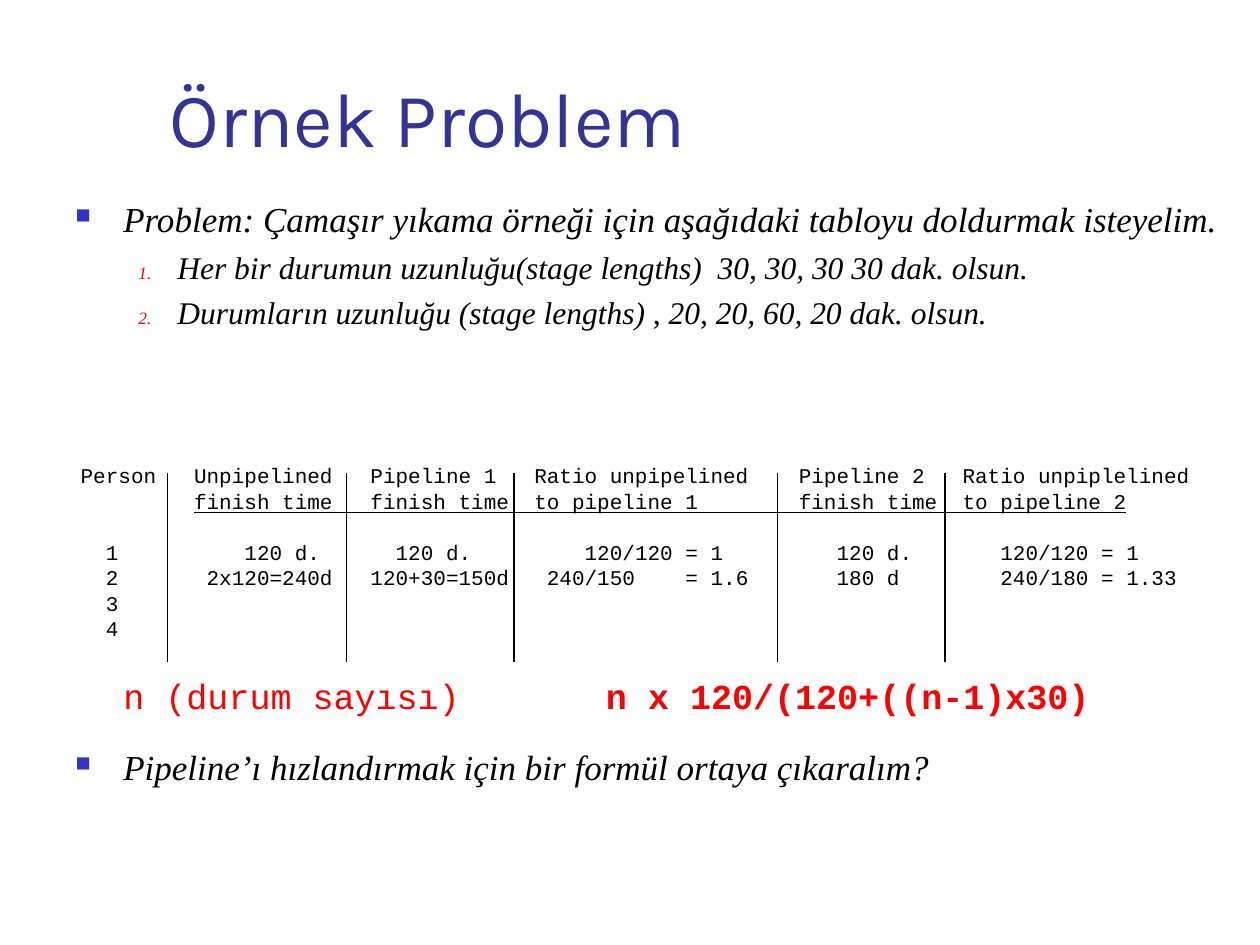
from lxml.etree import SubElement
from pptx import Presentation
from pptx.dml.color import RGBColor
from pptx.enum.shapes import MSO_CONNECTOR
from pptx.enum.text import MSO_ANCHOR
from pptx.oxml.ns import qn
from pptx.util import Inches, Pt

BLACK, RED, NAVY, BLUE = "000000", "FF0000", "333399", "3333CC"
MONO, SERIF = "Courier New", "Times New Roman"
TOP_LEVEL = dict(size=20, space=5, margin=0.38, hanging=0.38, color=BLUE,
                 scale=60, tag="a:buChar", attributes={"char": "■"})
NUMBERED = dict(size=18, space=4.5, margin=0.81, hanging=0.31, color=RED,
                scale=55, tag="a:buAutoNum", attributes={"type": "arabicPeriod"})
COLUMN_EDGES = [0.64, 1.54, 2.94, 4.24, 6.34, 7.64, 9.6]
DIVIDERS = [1.33, 2.75, 4.08, 6.17, 7.5]
HEADERS = ["Person", "Unpipelined\nfinish time", "Pipeline 1\nfinish time",
           "Ratio unpipelined\nto pipeline 1", "Pipeline 2\nfinish time",
           "Ratio unpiplelined\nto pipeline 2"]
ROWS = [
    [("1", 0.2), ("120 d.", 0.4), ("120 d.", 0.2), ("120/120 = 1", 0.4),
     ("120 d.", 0.3), ("120/120 = 1", 0.3)],
    [("2", 0.2), ("2x120=240d", 0.1), ("120+30=150d", 0), ("240/150\t= 1.6", 0.1),
     ("180 d", 0.3), ("240/180 = 1.33", 0.3)],
    [("3", 0.2)] + [("", 0)] * 5,
    [("4", 0.2)] + [("", 0)] * 5,
]


def rgb(color):
    return RGBColor.from_string(color)


def style(paragraph, name, size, color, italic=False):
    font = paragraph.font
    font.name, font.size, font.italic = name, Pt(size), italic
    font.color.rgb = rgb(color)


def add_tab(paragraph, position):
    tabs = SubElement(paragraph._p.get_or_add_pPr(), qn("a:tabLst"))
    SubElement(tabs, qn("a:tab"), pos=str(Inches(position)), algn="l")


def add_bullet(paragraph, level):
    properties = paragraph._p.get_or_add_pPr()
    properties.set("marL", str(Inches(level["margin"])))
    properties.set("indent", str(-Inches(level["hanging"])))
    color = SubElement(properties, qn("a:buClr"))
    SubElement(color, qn("a:srgbClr"), val=level["color"])
    SubElement(properties, qn("a:buSzPct"), val=str(level["scale"] * 1000))
    SubElement(properties, qn(level["tag"]), **level["attributes"])


def add_text_box(slide, left, top, width, height):
    shape = slide.shapes.add_textbox(*map(Inches, (left, top, width, height)))
    shape.text_frame.word_wrap = True
    return shape.text_frame


def add_title(slide, text, *box):
    frame = add_text_box(slide, *box)
    frame.vertical_anchor = MSO_ANCHOR.BOTTOM
    frame.text = text
    style(frame.paragraphs[0], "Karla", 44, NAVY)


def add_bullets(slide, items, *box):
    frame = add_text_box(slide, *box)
    for index, (text, level) in enumerate(items):
        paragraph = frame.add_paragraph() if index else frame.paragraphs[0]
        paragraph.text = text
        add_bullet(paragraph, level)
        if index:
            paragraph.space_before = Pt(level["space"])
        style(paragraph, SERIF, level["size"], BLACK, italic=True)


def add_line(slide, *ends):
    line = slide.shapes.add_connector(MSO_CONNECTOR.STRAIGHT, *map(Inches, ends))
    line.line.color.rgb = rgb(BLACK)
    line.line.width = Pt(0.75)
    SubElement(line._element.spPr, qn("a:effectLst"))


def fill_cell(cell, text, offset):
    cell.fill.background()
    cell.margin_left = Inches(offset)
    cell.margin_right = cell.margin_top = cell.margin_bottom = 0
    cell.text_frame.word_wrap = False
    cell.text = text
    for paragraph in cell.text_frame.paragraphs:
        paragraph.line_spacing = Pt(14.4)
        if "\t" in text:
            add_tab(paragraph, 1.1)
        style(paragraph, MONO, 12, BLACK)


def add_timing_table(slide, left, top, width, height):
    rows = [[(header, 0) for header in HEADERS]] + ROWS
    table = slide.shapes.add_table(len(rows), len(HEADERS), *map(
        Inches, (left, top, width, height))).table
    table.first_row = table.horz_banding = False
    for column, start, end in zip(table.columns, COLUMN_EDGES, COLUMN_EDGES[1:]):
        column.width = Inches(end - start)
    for index, values in enumerate(rows):
        table.rows[index].height = Inches(0.2 if index else height - 0.2 * len(ROWS))
        for column, (text, offset) in enumerate(values):
            fill_cell(table.cell(index, column), text, offset)
    add_line(slide, COLUMN_EDGES[1], top + 0.38, 8.94, top + 0.38)
    for divider in DIVIDERS:
        add_line(slide, divider, top + 0.06, divider, top + 1.56)


def add_formula(slide, label, formula, *box):
    frame = add_text_box(slide, *box)
    frame.margin_left = frame.margin_top = frame.margin_right = frame.margin_bottom = 0
    paragraph = frame.paragraphs[0]
    paragraph.add_run().text = label + "\t"
    run = paragraph.add_run()
    run.text = formula
    run.font.bold = True
    add_tab(paragraph, 3.83)
    style(paragraph, MONO, 20, RED)


def main():
    presentation = Presentation()
    presentation.slide_width, presentation.slide_height = Inches(10), Inches(7.5)
    slide = presentation.slides.add_slide(presentation.slide_layouts[6])
    add_title(slide, "Örnek Problem", 1.25, 0.58, 8.52, 0.76)
    add_bullets(slide, [
        ("Problem: Çamaşır yıkama örneği için aşağıdaki tabloyu doldurmak isteyelim.", TOP_LEVEL),
        ("Her bir durumun uzunluğu(stage lengths)  30, 30, 30 30 dak. olsun.", NUMBERED),
        ("Durumların uzunluğu (stage lengths) , 20, 20, 60, 20 dak. olsun.", NUMBERED),
    ], 0.5, 1.52, 9.29, 1.2)
    add_timing_table(slide, COLUMN_EDGES[0], 3.69, COLUMN_EDGES[-1] - COLUMN_EDGES[0], 1.41)
    add_formula(slide, "n (durum sayısı)", "n x 120/(120+((n-1)x30)", 0.98, 5.35, 8.4, 0.32)
    add_bullets(slide, [("Pipeline’ı hızlandırmak için bir formül ortaya çıkaralım?", TOP_LEVEL)],
                0.5, 5.87, 9.29, 0.46)
    presentation.save("out.pptx")


if __name__ == "__main__":
    main()
